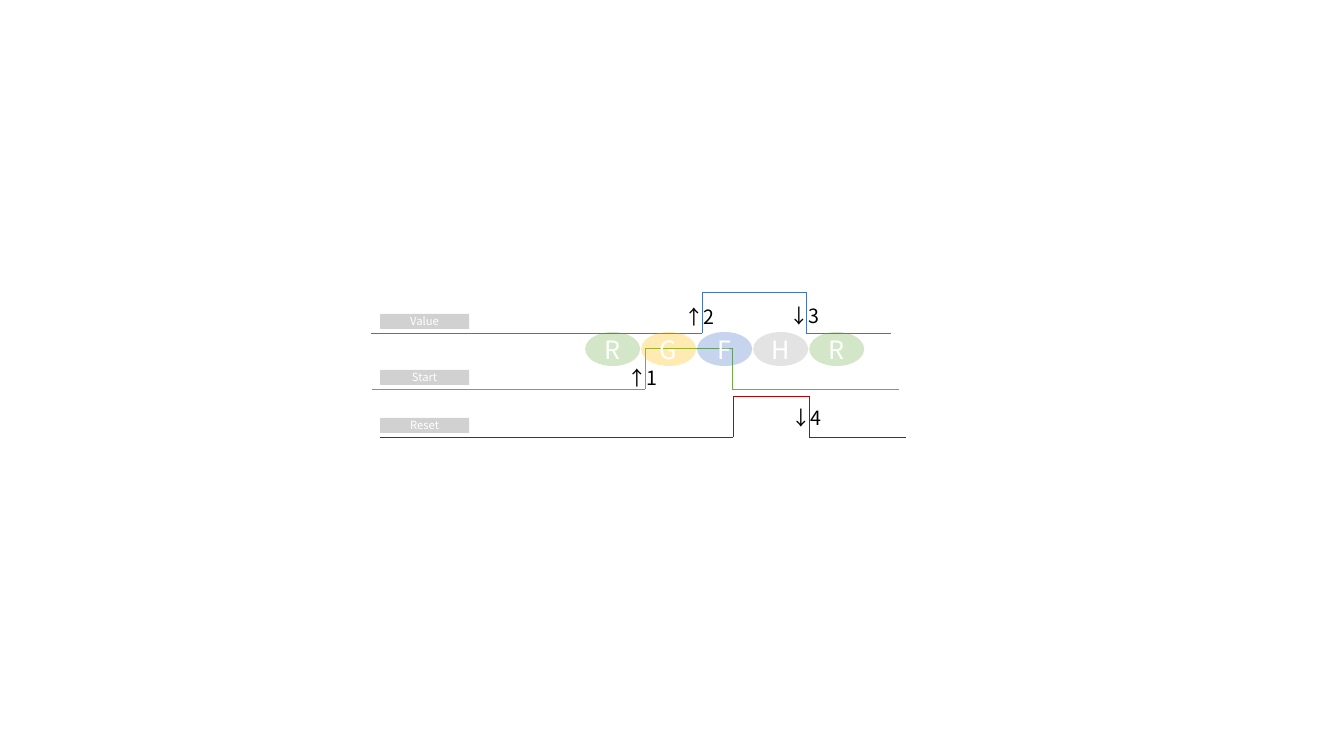
import pptx
import pptx.util
import pptx.dml.color
import pptx.enum.shapes
import pptx.enum.text
import pptx.oxml.ns
import lxml.etree

COLORS = {
    "blue": "4472C4",
    "red": "C00000",
    "green": "70AD47",
    "gray": "A5A5A5",
    "amber": "FFC000",
    "white": "FFFFFF",
    "black": "000000",
}
SHAPE = pptx.enum.shapes.MSO_SHAPE
ALIGN = pptx.enum.text.PP_ALIGN


class TimingSlide:
    font_name = "Noto Sans CJK KR"
    emu_per_px = 914400 / 100.8
    pulse_height = 41

    def __init__(self, slide):
        self.slide = slide
        self.shapes = slide.shapes

    def start_group(self):
        self.shapes = self.slide.shapes.add_group_shape().shapes

    def end_group(self):
        self.shapes = self.slide.shapes

    def emu(self, *lengths):
        return [round(length * self.emu_per_px) for length in lengths]

    def rgb(self, color):
        return pptx.dml.color.RGBColor.from_string(COLORS[color])

    def set_text(self, frame, text, size, color, align):
        frame.text = text
        paragraph = frame.paragraphs[0]
        paragraph.alignment = align
        font = paragraph.runs[0].font
        font.name = self.font_name
        font.size = pptx.util.Pt(size)
        font.color.rgb = self.rgb(color)
        east_asian = lxml.etree.SubElement(font._element, pptx.oxml.ns.qn("a:ea"))
        east_asian.set("typeface", self.font_name)

    def badge(self, preset, box, text, size, color, opacity):
        badge = self.shapes.add_shape(preset, *self.emu(*box))
        badge.shadow.inherit = False
        badge.line.fill.background()
        badge.fill.solid()
        badge.fill.fore_color.rgb = self.rgb(color)
        tint = badge._element.spPr.find(".//" + pptx.oxml.ns.qn("a:srgbClr"))
        alpha = lxml.etree.SubElement(tint, pptx.oxml.ns.qn("a:alpha"))
        alpha.set("val", str(opacity * 1000))
        badge.text_frame.vertical_anchor = pptx.enum.text.MSO_ANCHOR.MIDDLE
        self.set_text(badge.text_frame, text, size, "white", ALIGN.CENTER)

    def line(self, start, end, color):
        line = self.shapes.add_connector(
            pptx.enum.shapes.MSO_CONNECTOR.STRAIGHT, *self.emu(*start, *end))
        line.line.color.rgb = self.rgb(color)
        line.line.width = pptx.util.Pt(0.5)
        lxml.etree.SubElement(line._element.spPr, pptx.oxml.ns.qn("a:effectLst"))

    def signal(self, label, begin, rise, fall, end, low, color):
        high = low - self.pulse_height
        self.badge(SHAPE.RECTANGLE, (380, low - 19, 89, 15), label, 8, "gray", 50)
        corners = [(begin, low), (rise, low), (rise, high),
                   (fall, high), (fall, low), (end, low)]
        for corner, next_corner in zip(corners, corners[1:]):
            self.line(corner, next_corner, color)

    def edge_mark(self, text, left, top, width, wrap):
        mark = self.shapes.add_textbox(*self.emu(left, top, width, 34))
        frame = mark.text_frame
        frame.word_wrap = wrap
        frame.auto_size = pptx.enum.text.MSO_AUTO_SIZE.SHAPE_TO_FIT_TEXT
        self.set_text(frame, text, 14, "black", ALIGN.LEFT)


def main():
    deck = pptx.Presentation()
    deck.slide_width = pptx.util.Inches(13.33)
    deck.slide_height = pptx.util.Inches(7.5)
    timing = TimingSlide(deck.slides.add_slide(deck.slide_layouts[6]))

    timing.start_group()
    for signal in [
        ("Value", 371, 702, 806, 891, 333, "blue"),
        ("Reset", 380, 733, 809, 906, 437, "red"),
        ("Start", 372, 645, 732, 899, 389, "green"),
    ]:
        timing.signal(*signal)
    for edge in [
        ("↑1", 617, 361, 51, False),
        ("↓4", 781, 401, 60, True),
        ("↑2", 674, 300, 51, False),
        ("↓3", 779, 299, 60, True),
    ]:
        timing.edge_mark(*edge)
    timing.end_group()

    states = [("R", "green"), ("G", "amber"), ("F", "blue"),
              ("H", "gray"), ("R", "green")]
    for index, (state, color) in enumerate(states):
        timing.badge(SHAPE.OVAL, (585 + 56 * index, 332, 55, 34),
                     state, 18, color, 30)

    deck.save("out.pptx")


if __name__ == "__main__":
    main()
